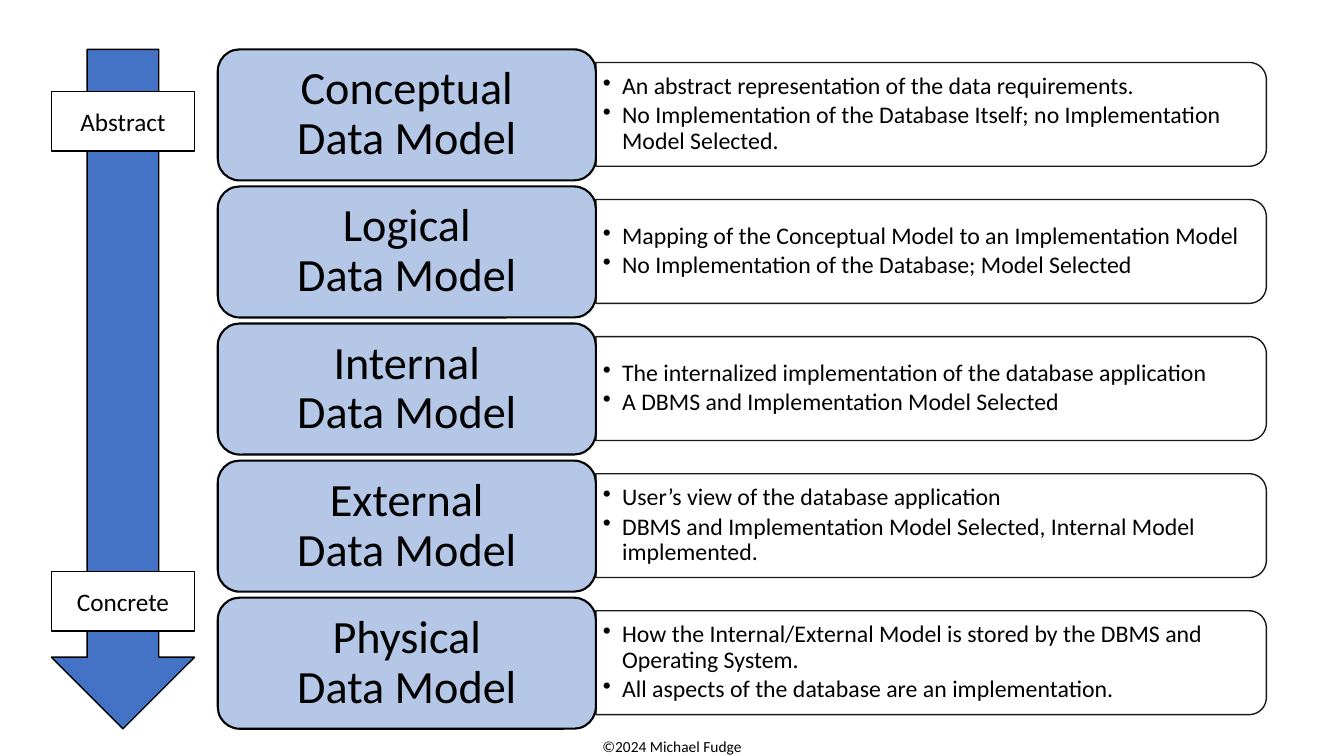
import math
from dataclasses import dataclass

from lxml import etree
from pptx import Presentation
from pptx import util as u
from pptx.dml.color import RGBColor
from pptx.enum import shapes, text
from pptx.oxml.ns import qn


@dataclass(frozen=True)
class Theme:
    font: str = "Calibri"
    ink: str = "000000"
    paper: str = "FFFFFF"
    pale: str = "B4C7E7"
    blue: str = "4472C4"
    head: int = 33
    tag: int = 18
    body: int = 17
    foot: int = 11


THEME = Theme()
SHAPE = shapes.MSO_SHAPE
CENTER, LEFT = text.PP_ALIGN.CENTER, text.PP_ALIGN.LEFT

# Slide content: one entry per model level
LEVELS = [
    ("Conceptual", ["An abstract representation of the data requirements.",
                    "No Implementation of the Database Itself; no Implementation Model Selected."]),
    ("Logical", ["Mapping of the Conceptual Model to an Implementation Model",
                 "No Implementation of the Database; Model Selected"]),
    ("Internal", ["The internalized implementation of the database application",
                  "A DBMS and Implementation Model Selected"]),
    ("External", ["User’s view of the database application",
                  "DBMS and Implementation Model Selected, Internal Model implemented."]),
    ("Physical", ["How the Internal/External Model is stored by the DBMS and Operating System.",
                  "All aspects of the database are an implementation."]),
]


def write(frame, lines, size, align=CENTER, space=None, after=0, bullet=None,
          inset=(0.1, 0.05), right=None):
    """Fill a text frame with one paragraph per line."""
    frame.word_wrap = True
    frame.vertical_anchor = text.MSO_ANCHOR.MIDDLE
    side, edge = inset
    frame.margin_left = u.Inches(side)
    frame.margin_right = u.Inches(side if right is None else right)
    frame.margin_top = frame.margin_bottom = u.Inches(edge)
    for i, line in enumerate(lines):
        para = frame.paragraphs[0] if i == 0 else frame.add_paragraph()
        para.text = line
        para.alignment = align
        para.space_before, para.space_after = u.Pt(0), u.Pt(after)
        if space:
            para.line_spacing = space
        if bullet:
            props = para._p.get_or_add_pPr()
            props.set("marL", str(u.Inches(0.19)))
            props.set("indent", str(-u.Inches(0.19)))
            etree.SubElement(props, qn("a:buChar")).set("char", bullet)
        for run in para.runs:
            run.font.name = THEME.font
            run.font.size = u.Pt(size)
            run.font.color.rgb = RGBColor.from_string(THEME.ink)


class Deck:
    def __init__(self, theme):
        self.theme = theme
        self.file = Presentation()
        self.file.slide_width, self.file.slide_height = u.Inches(13.33), u.Inches(7.5)
        self.slide = self.file.slides.add_slide(self.file.slide_layouts[6])

    def paint(self, shape, fill, width):
        shape.shadow.inherit = False
        shape.fill.solid()
        shape.fill.fore_color.rgb = RGBColor.from_string(fill)
        shape.line.color.rgb = RGBColor.from_string(self.theme.ink)
        shape.line.width = u.Pt(width)
        return shape

    def block(self, kind, box, fill, width=1):
        shape = self.slide.shapes.add_shape(kind, *map(u.Inches, box))
        return self.paint(shape, fill, width)

    def panel(self, box, curve=0.17):
        """Box with square left corners, round right corners and slight transparency."""
        left, top, wide, high = box
        right, low = left + wide, top + high
        points = []
        for mid, start in ((top + curve, -90), (low - curve, 0)):
            for step in range(0, 91, 6):
                turn = math.radians(start + step)
                points.append((right - curve + curve * math.cos(turn),
                               mid + curve * math.sin(turn)))
        points.append((left, low))
        form = self.slide.shapes.build_freeform(u.Inches(left), u.Inches(top))
        form.add_line_segments([(u.Inches(x), u.Inches(y)) for x, y in points])
        shape = self.paint(form.convert_to_shape(), self.theme.paper, 1)
        for color in shape._element.spPr.iter(qn("a:srgbClr")):
            etree.SubElement(color, qn("a:alpha")).set("val", "90000")
        return shape

    def note(self, box, line, size):
        shape = self.slide.shapes.add_textbox(*map(u.Inches, box))
        write(shape.text_frame, [line], size)


def main():
    deck = Deck(THEME)

    # Footer
    deck.note((5.67, 7.26, 1.99, 0.29), "©2024 Michael Fudge", THEME.foot)

    # Model levels with their notes
    for i, (name, notes) in enumerate(LEVELS):
        top = 0.49 + 1.36 * i
        panel = deck.panel((5.91, top + 0.13, 6.65, 1.03))
        write(panel.text_frame, notes, THEME.body, align=LEFT, space=0.9, after=2.5,
              bullet="•", inset=(0.07, 0.09), right=0.12)
        label = deck.block(SHAPE.ROUNDED_RECTANGLE, (2.16, top, 3.75, 1.3), THEME.pale, 1.5)
        write(label.text_frame, [f"{name}\vData Model"], THEME.head, space=0.9,
              inset=(0.2, 0.13))

    # Arrow from abstract to concrete
    deck.block(SHAPE.DOWN_ARROW, (0.51, 0.49, 1.42, 6.74), THEME.blue)
    for tag, top in (("Abstract", 0.91), ("Concrete", 5.67)):
        plate = deck.block(SHAPE.RECTANGLE, (0.51, top, 1.42, 0.59), THEME.paper)
        write(plate.text_frame, [tag], THEME.tag)

    deck.file.save("out.pptx")


if __name__ == "__main__":
    main()
